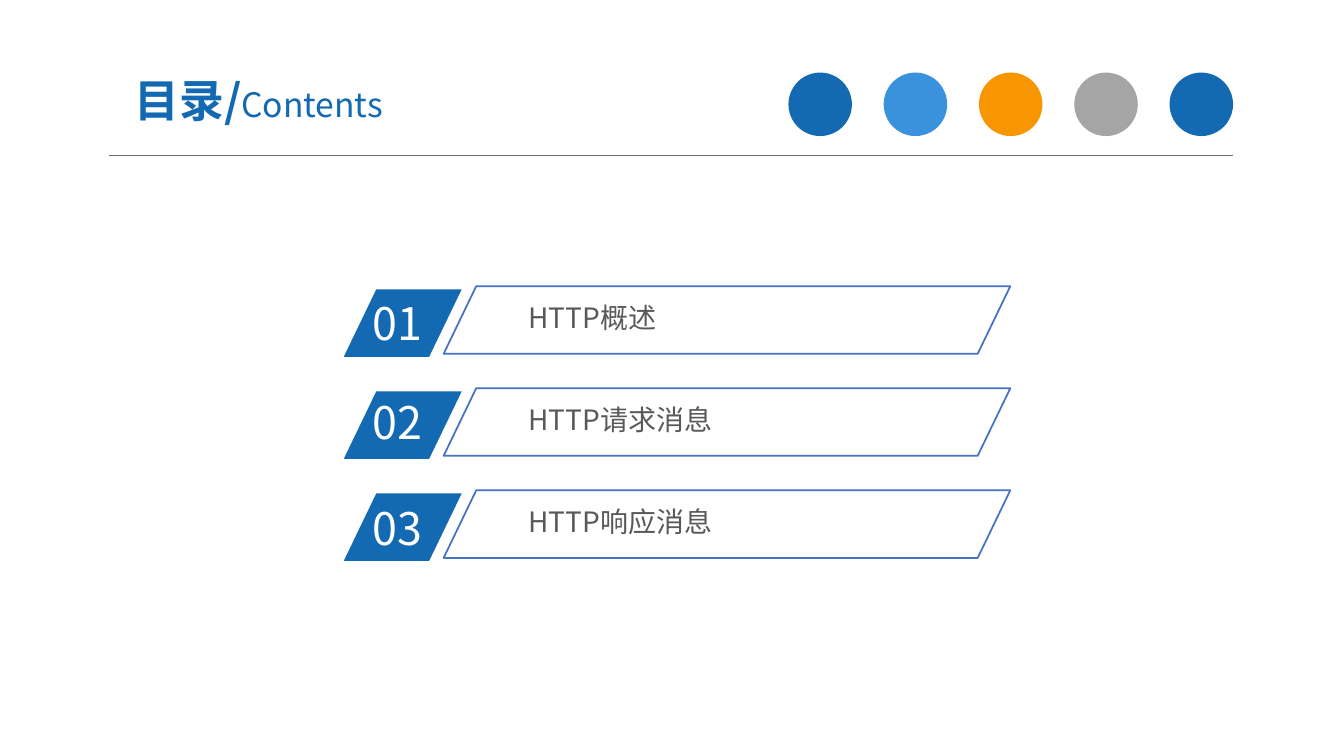
"""Build the contents slide of an HTTP lecture with python-pptx."""
import math
from dataclasses import dataclass
from typing import Optional

import lxml.etree
import pptx
import pptx.dml.color
import pptx.enum.shapes
import pptx.enum.text
import pptx.oxml.ns
import pptx.util

Inches = pptx.util.Inches
Pt = pptx.util.Pt
KIND = pptx.enum.shapes.MSO_SHAPE
FONT = "Noto Sans CJK SC"
COLORS = {
    "blue": "1369B2",
    "sky": "3992DB",
    "orange": "F79600",
    "gray": "A5A5A5",
    "rule": "6E6E6E",
    "frame": "4472C4",
    "text": "595959",
    "white": "FFFFFF",
}
ROW_PITCH = 4.05 / 4
ICON_LEFT, ICON_PITCH, ICON_TOP, ICON_SIZE = 7.82, 3.78 / 4, 0.72, 0.63
SLANT = 0.482
Contour = list[tuple[float, float]]


@dataclass
class Icon:
    """A coloured disc with a white glyph; nested contours are holes."""
    color: str
    contours: list[Contour]


@dataclass
class Entry:
    """A numbered line of the contents."""
    number: str
    number_top: float
    label: str


def box(left: float, top: float, width: float, height: float) -> Contour:
    """Return a rectangle with cut corners."""
    cut = 0.01
    right, bottom = left + width, top + height
    return [(left + cut, top), (right - cut, top), (right, top + cut),
            (right, bottom - cut), (right - cut, bottom),
            (left + cut, bottom), (left, bottom - cut), (left, top + cut)]


def arc(x: float, y: float, radius: float, start: int = 0,
        end: int = 360) -> Contour:
    """Return the points of a clockwise arc."""
    angles = [math.radians(a) for a in range(start, end + 1, 10)]
    return [(x + radius * math.cos(a), y + radius * math.sin(a))
            for a in angles]


NOTCHES = [point for top in (1.09, 1.0, 0.9) for point in (
    (10.86, top + 0.07), (10.91, top + 0.07), (10.93, top + 0.04),
    (10.91, top), (10.86, top))]
HOLES = [point for left in (11.79, 11.87, 11.96) for point in (
    (left, 0.88), (left, 0.9), (left + 0.02, 0.93), (left + 0.05, 0.93),
    (left + 0.07, 0.9), (left + 0.07, 0.88))]
ICONS = [
    Icon("blue", [
        [(7.96, 0.88), (7.99, 0.88), (7.99, 1.15), (8.32, 1.15),
         (8.32, 1.18), (7.96, 1.18)],
        box(8.02, 1.07, 0.07, 0.06),
        box(8.11, 0.91, 0.07, 0.22),
        box(8.21, 0.98, 0.07, 0.15),
    ]),
    Icon("sky", [
        [(9.11, 1.01), *arc(9.11, 1.01, 0.16, 270, 360)],
        [(9.08, 1.05), *arc(9.08, 1.05, 0.16, 0, 270)],
    ]),
    Icon("orange", [
        arc(10, 0.99, 0.13),
        arc(10, 0.99, 0.1),
        [(10.07, 1.1), (10.12, 1.05), (10.22, 1.15), (10.23, 1.18),
         (10.22, 1.2), (10.19, 1.21), (10.17, 1.2)],
        [(9.93, 0.97), (9.98, 0.97), (9.98, 0.91), (10.01, 0.91),
         (10.01, 0.97), (10.07, 0.97), (10.07, 1), (10.01, 1),
         (10.01, 1.06), (9.98, 1.06), (9.98, 1), (9.93, 1)],
    ]),
    Icon("gray", [
        [(10.88, 0.87), (11.06, 0.87), (11.06, 1.2), (10.88, 1.2),
         (10.86, 1.18), *NOTCHES, (10.86, 0.88)],
        box(11.08, 0.87, 0.03, 0.33),
        *(box(10.83, top, 0.08, 0.03) for top in (0.92, 1.01, 1.11)),
    ]),
    Icon("blue", [
        [(11.74, 0.9), (11.76, 0.88), *HOLES, (12.06, 0.88), (12.07, 0.9),
         (12.07, 1.12), (12.05, 1.12), (12.03, 1.15), (12.01, 1.14),
         (11.98, 1.15), (11.97, 1.17), (12, 1.21), (11.76, 1.21),
         (11.74, 1.2)],
        *(box(left, 0.85, 0.03, 0.07) for left in (11.81, 11.89, 11.98)),
        box(11.79, 0.98, 0.24, 0.03),
        box(11.79, 1.05, 0.24, 0.03),
        box(11.79, 1.13, 0.13, 0.02),
        [(12.09, 1.15), (12.04, 1.21), (12.01, 1.21), (11.99, 1.17),
         (12.01, 1.15), (12.03, 1.17), (12.07, 1.13)],
    ]),
]
ENTRIES = [
    Entry("01", 2.88, "HTTP概述"),
    Entry("02", 3.87, "HTTP请求消息"),
    Entry("03", 4.92, "HTTP响应消息"),
]


def rgb(name: str) -> pptx.dml.color.RGBColor:
    """Return the named colour."""
    return pptx.dml.color.RGBColor.from_string(COLORS[name])


def paint(sp, fill: Optional[str] = None) -> None:
    """Fill a shape without a line, or outline it when no fill is given."""
    sp.shadow.inherit = False
    if fill:
        sp.fill.solid()
        sp.fill.fore_color.rgb = rgb(fill)
        sp.line.fill.background()
    else:
        sp.fill.background()
        sp.line.color.rgb = rgb("frame")
        sp.line.width = Pt(1.25)


def add_shape(s, kind: int, left: float, top: float, width: float,
              height: float, fill: Optional[str] = None):
    """Add a painted preset shape."""
    sp = s.shapes.add_shape(kind, Inches(left), Inches(top), Inches(width),
                            Inches(height))
    paint(sp, fill)
    return sp


def add_glyph(s, contours: list[Contour]) -> None:
    """Draw all contours as one white outline shape."""
    builder = s.shapes.build_freeform(*contours[0][0], scale=Inches(1))
    for contour in contours:
        builder.move_to(*contour[0])
        builder.add_line_segments(contour[1:], close=True)
    paint(builder.convert_to_shape(), "white")


def style_run(r, size: float, color: str, bold: bool = False) -> None:
    """Set the font of a run for Latin and Chinese text."""
    r.font.name = FONT
    r.font.size = Pt(size)
    r.font.bold = bold
    r.font.color.rgb = rgb(color)
    ea = lxml.etree.SubElement(r.font._element, pptx.oxml.ns.qn("a:ea"))
    ea.set("typeface", FONT)


def add_text(s, left: float, top: float, width: float, height: float,
             text: str, size: float, color: str,
             inset: tuple[float, float] = (0.1, 0.05), bold: bool = False):
    """Add a wrapping text box and return its text frame."""
    tf = s.shapes.add_textbox(Inches(left), Inches(top), Inches(width),
                              Inches(height)).text_frame
    tf.word_wrap = True
    tf.margin_left = tf.margin_right = Inches(inset[0])
    tf.margin_top = tf.margin_bottom = Inches(inset[1])
    tf.text = text
    style_run(tf.paragraphs[0].runs[0], size, color, bold)
    return tf


def add_header(s) -> None:
    """Draw the rule, the icons and the title."""
    rule = s.shapes.add_connector(pptx.enum.shapes.MSO_CONNECTOR.STRAIGHT,
                                  Inches(1.08), Inches(1.54),
                                  Inches(12.23), Inches(1.54))
    rule.line.color.rgb = rgb("rule")
    rule.line.width = Pt(0.5)
    lxml.etree.SubElement(rule._element.spPr,
                          pptx.oxml.ns.qn("a:effectLst"))
    for i, icon in enumerate(ICONS):
        add_shape(s, KIND.OVAL, ICON_LEFT + i * ICON_PITCH, ICON_TOP,
                  ICON_SIZE, ICON_SIZE, icon.color)
        add_glyph(s, icon.contours)
    tf = add_text(s, 0.92, 0.63, 3.29, 0.72, "目录/", 32, "blue",
                  (0.13, 0.07), True)
    tf.vertical_anchor = pptx.enum.text.MSO_ANCHOR.MIDDLE
    p = tf.paragraphs[0]
    p.alignment = pptx.enum.text.PP_ALIGN.CENTER
    p.space_before = Pt(6)
    r = p.add_run()
    r.text = "Contents"
    style_run(r, 24, "blue")


def add_entry(s, entry: Entry, offset: float) -> None:
    """Draw a numbered entry, moved down by the offset."""
    tab = add_shape(s, KIND.PARALLELOGRAM, 3.41, 2.87 + offset, 1.17, 0.67,
                    "blue")
    number = add_text(s, 3.6, entry.number_top, 1.12, 0.64, entry.number,
                      32, "white")
    label = add_text(s, 5.17, 2.94 + offset, 4.12, 0.41, entry.label, 20,
                     "text", (0.07, 0.04))
    frame = add_shape(s, KIND.PARALLELOGRAM, 4.4, 2.84 + offset, 5.62, 0.67)
    for tf in (number, label):
        tf.auto_size = pptx.enum.text.MSO_AUTO_SIZE.SHAPE_TO_FIT_TEXT
    for sp in (tab, frame):
        sp.adjustments[0] = SLANT


def main() -> None:
    """Build and save the slide."""
    prs = pptx.Presentation()
    prs.slide_width, prs.slide_height = Inches(13.33), Inches(7.5)
    s = prs.slides.add_slide(prs.slide_layouts[6])
    add_header(s)
    for i, entry in enumerate(ENTRIES):
        add_entry(s, entry, i * ROW_PITCH)
    prs.save("out.pptx")


if __name__ == "__main__":
    main()
